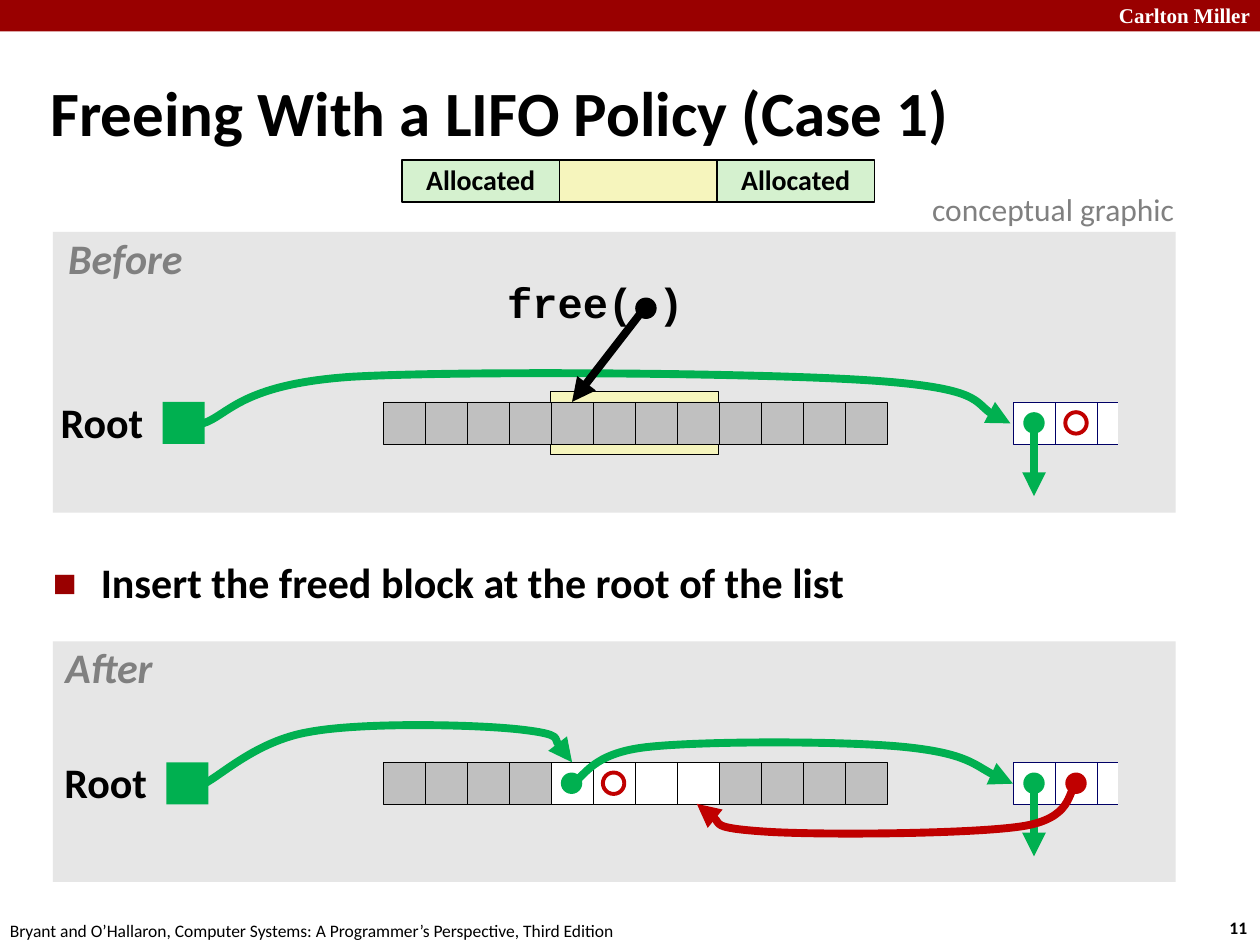
from lxml import etree
from pptx import Presentation
from pptx import util as u
from pptx.dml import color
from pptx.enum import shapes as kinds, text
from pptx.oxml import ns

CELL = 1 / 3
DOT = 0.17
GREEN, RED, BLACK, WHITE = "00B050", "C00000", "000000", "FFFFFF"
GRAY, PANEL, YELLOW, MINT = "C0C0C0", "E6E6E6", "F6F5BD", "D5F1CF"
BANNER, NAVY, MUTED = "990000", "000066", "808080"
RECTANGLE, OVAL = kinds.MSO_SHAPE.RECTANGLE, kinds.MSO_SHAPE.OVAL


def rgb(value):
    return color.RGBColor.from_string(value)


def assign(target, values):
    for name, value in values.items():
        setattr(target, name, value)


def place(box):
    return [u.Inches(length) for length in box]


def write(shape, words, size, paint=BLACK, font="Calibri", bold=True, italic=False,
          align=text.PP_ALIGN.LEFT, spacing=1.0, frame=None):
    assign(shape.text_frame, frame or {})
    paragraph = shape.text_frame.paragraphs[0]
    assign(paragraph, {"alignment": align, "line_spacing": spacing})
    run = paragraph.add_run()
    run.text = words
    assign(run.font, {"name": font, "size": u.Pt(size), "bold": bold, "italic": italic})
    run.font.color.rgb = rgb(paint)
    return paragraph


def add_text(shapes, box, words, size, inset=0.1, **style):
    shape = shapes.add_textbox(*place(box))
    margins = {"margin_left": u.Inches(inset), "margin_right": u.Inches(inset),
               "word_wrap": False}
    return write(shape, words, size, frame=margins, **style)


def add_label(shapes, box, words, **style):
    add_text(shapes, box, words, 24, inset=0.05, align=text.PP_ALIGN.CENTER,
             spacing=0.9, **style)


def add_box(shapes, box, fill=None, line=None, width=0.25, kind=RECTANGLE):
    shape = shapes.add_shape(kind, *place(box))
    shape.shadow.inherit = False
    if fill:
        shape.fill.solid()
        shape.fill.fore_color.rgb = rgb(fill)
    else:
        shape.fill.background()
    if line:
        shape.line.color.rgb = rgb(line)
        shape.line.width = u.Pt(width)
    else:
        shape.line.fill.background()
    return shape


def add_cells(shapes, left, top, fills, line):
    for index, fill in enumerate(fills):
        add_box(shapes, (left + index * CELL, top, CELL, CELL), fill, line)


def add_dot(shapes, cell_left, cell_top, fill=None, line=None):
    gap = (CELL - DOT) / 2
    add_box(shapes, (cell_left + gap, cell_top + gap, DOT, DOT), fill, line, 2.25, OVAL)


def style_arrow(shape, paint):
    shape.line.color.rgb = rgb(paint)
    shape.line.width = u.Pt(4.5)
    outline = shape.line.fill._xPr
    etree.SubElement(outline, ns.qn("a:tailEnd"), type="triangle")


def add_arrow(shapes, start, end, paint):
    connector = shapes.add_connector(kinds.MSO_CONNECTOR.STRAIGHT, *place(start + end))
    style_arrow(connector, paint)
    etree.SubElement(connector._element.spPr, ns.qn("a:effectLst"))


def add_curve(shapes, box, points, paint):
    left, top = box[:2]
    corners = [place((left + x, top + y)) for x, y in points]
    builder = shapes.build_freeform(*corners[0])
    builder.add_line_segments(corners[1:], close=False)
    shape = builder.convert_to_shape()
    shape.shadow.inherit = False
    shape.fill.background()
    segments = list(shape._element.iter(ns.qn("a:lnTo")))
    for index in range(0, len(segments), 3):
        bezier = etree.Element(ns.qn("a:cubicBezTo"))
        segments[index].addprevious(bezier)
        for segment in segments[index:index + 3]:
            bezier.append(segment[0])
            segment.getparent().remove(segment)
    style_arrow(shape, paint)


def draw_chrome(slide):
    shapes = slide.shapes
    add_box(shapes, (0, 0, 10, 0.25), BANNER)
    add_text(shapes, (8.64, -0.03, 1.38, 0.3), "Carlton Miller", 12, paint=WHITE,
             font="Times New Roman", align=text.PP_ALIGN.RIGHT)
    add_text(shapes, (9.66, 7.23, 0.37, 0.27), "11", 10)
    add_text(shapes, (-0.02, 7.25, 5.08, 0.27),
             "Bryant and O’Hallaron, Computer Systems: A Programmer’s Perspective, Third Edition",
             10, bold=False)


def draw_title(slide, box):
    title = slide.shapes.title
    assign(title, dict(zip(("left", "top", "width", "height"), place(box))))
    write(title, "Freeing With a LIFO Policy (Case 1)", 36, spacing=0.87,
          frame={"vertical_anchor": text.MSO_ANCHOR.MIDDLE})


def draw_body(slide, box):
    body = slide.placeholders[1]
    assign(body, dict(zip(("left", "top", "width", "height"), place(box))))
    paragraph = write(body, "Insert the freed block at the root of the list", 24, spacing=0.95)
    properties = paragraph._p.get_or_add_pPr()
    properties.set("marL", str(u.Inches(0.38)))
    properties.set("indent", str(u.Inches(-0.38)))
    paint = etree.SubElement(properties, ns.qn("a:buClr"))
    etree.SubElement(paint, ns.qn("a:srgbClr"), val=BANNER)
    etree.SubElement(properties, ns.qn("a:buSzPct"), val="60000")
    etree.SubElement(properties, ns.qn("a:buFont"), typeface="Calibri")
    etree.SubElement(properties, ns.qn("a:buChar"), char="■")


def draw_legend(slide, box):
    left, top, width, height = box
    group = slide.shapes.add_group_shape()
    block = width / 3
    for index, words in ((1, ""), (0, "Allocated"), (2, "Allocated")):
        shape = add_box(group.shapes, (left + index * block, top, block, height),
                        MINT if words else YELLOW, BLACK, 1)
        if words:
            write(shape, words, 16, align=text.PP_ALIGN.CENTER, spacing=0.98,
                  frame={"word_wrap": False, "vertical_anchor": text.MSO_ANCHOR.MIDDLE})
    add_text(slide.shapes, (7.3, 1.46, 2.17, 0.4), "conceptual graphic", 18,
             paint=MUTED, bold=False)


def draw_panel(slide, box, label, label_left, label_width):
    left, top = box[:2]
    add_box(slide.shapes, box, PANEL)
    add_label(slide.shapes, (left + label_left, top, label_width, 0.47), label,
              paint=MUTED, italic=True)


def draw_heap(slide, box, row, root, freed_fill):
    shapes = slide.shapes
    left, top = box[0], box[1] + row
    add_label(shapes, (left + root - 0.86, top - 0.05, 0.76, 0.47), "Root")
    add_box(shapes, (left + root, top, CELL, CELL), GREEN)
    add_cells(shapes, left + 2.62, top, [GRAY] * 4 + [freed_fill] * 4 + [GRAY] * 4, BLACK)
    node = left + 7.62
    group = slide.shapes.add_group_shape()
    add_cells(group.shapes, node, top, [WHITE] * 3, NAVY)
    add_box(group.shapes, (node + 2.5 * CELL, top - 0.08, CELL, 0.5), PANEL)
    add_dot(shapes, node, top, GREEN)
    middle = top + CELL / 2
    add_arrow(shapes, (node + CELL / 2, middle), (node + CELL / 2, middle + 0.58), GREEN)


def draw_before(slide, box):
    shapes = slide.shapes
    left, top = box[:2]
    row = 1.35
    draw_panel(slide, box, "Before", 0.06, 1.03)
    add_box(shapes, (left + 3.95, top + row - 0.08, 4 * CELL, 0.5), YELLOW, BLACK, 0.75)
    add_curve(shapes, box, [
        (1.19, 1.52), (1.39, 1.46), (1.48, 1.21), (2.37, 1.15), (3.25, 1.1),
        (5.63, 1.12), (6.5, 1.18), (7.37, 1.24), (7.37, 1.45), (7.6, 1.52)], GREEN)
    draw_heap(slide, box, row, 0.87, GRAY)
    add_dot(shapes, left + 7.62 + CELL, top + row, line=RED)
    add_label(shapes, (left + 3.55, top + 0.35, 1.51, 0.47), "free( )", font="Courier New")
    add_dot(shapes, left + 4.54, top + 0.44, BLACK)
    add_arrow(shapes, (left + 4.7, top + 0.6), (left + 4.12, top + row), BLACK)


def draw_after(slide, box):
    shapes = slide.shapes
    left, top = box[:2]
    row = 0.96
    draw_panel(slide, box, "After", 0.04, 0.81)
    draw_heap(slide, box, row, 0.9, WHITE)
    add_dot(shapes, left + 3.95, top + row, GREEN)
    add_dot(shapes, left + 3.95 + CELL, top + row, line=RED)
    add_dot(shapes, left + 7.62 + CELL, top + row, RED)
    add_curve(shapes, box, [
        (4.12, 1.13), (4.22, 1.08), (4.27, 0.89), (4.71, 0.84), (5.15, 0.79),
        (6.29, 0.79), (6.77, 0.84), (7.25, 0.89), (7.44, 1.07), (7.62, 1.13)], GREEN)
    add_curve(shapes, box, [
        (8.12, 1.14), (8.05, 1.19), (8.1, 1.41), (7.68, 1.47), (7.27, 1.53),
        (6.07, 1.54), (5.64, 1.51), (5.21, 1.48), (5.22, 1.34), (5.11, 1.29)], RED)
    add_curve(shapes, box, [
        (1.2, 1.13), (1.34, 1.06), (1.62, 0.79), (2.03, 0.72), (2.45, 0.64),
        (3.36, 0.66), (3.71, 0.7), (4.06, 0.74), (4.04, 0.9), (4.12, 0.96)], GREEN)


def main():
    presentation = Presentation()
    assign(presentation, {"slide_width": u.Inches(10), "slide_height": u.Inches(7.5)})
    slide = presentation.slides.add_slide(presentation.slide_layouts[1])
    draw_chrome(slide)
    draw_title(slide, (0.3, 0.5, 9.53, 0.86))
    draw_body(slide, (0.32, 4.4, 9.09, 0.61))
    draw_before(slide, (0.42, 1.84, 8.91, 2.23))
    draw_after(slide, (0.42, 5.09, 8.91, 1.91))
    draw_legend(slide, (3.19, 1.27, 3.75, CELL))
    presentation.save("out.pptx")


if __name__ == "__main__":
    main()
